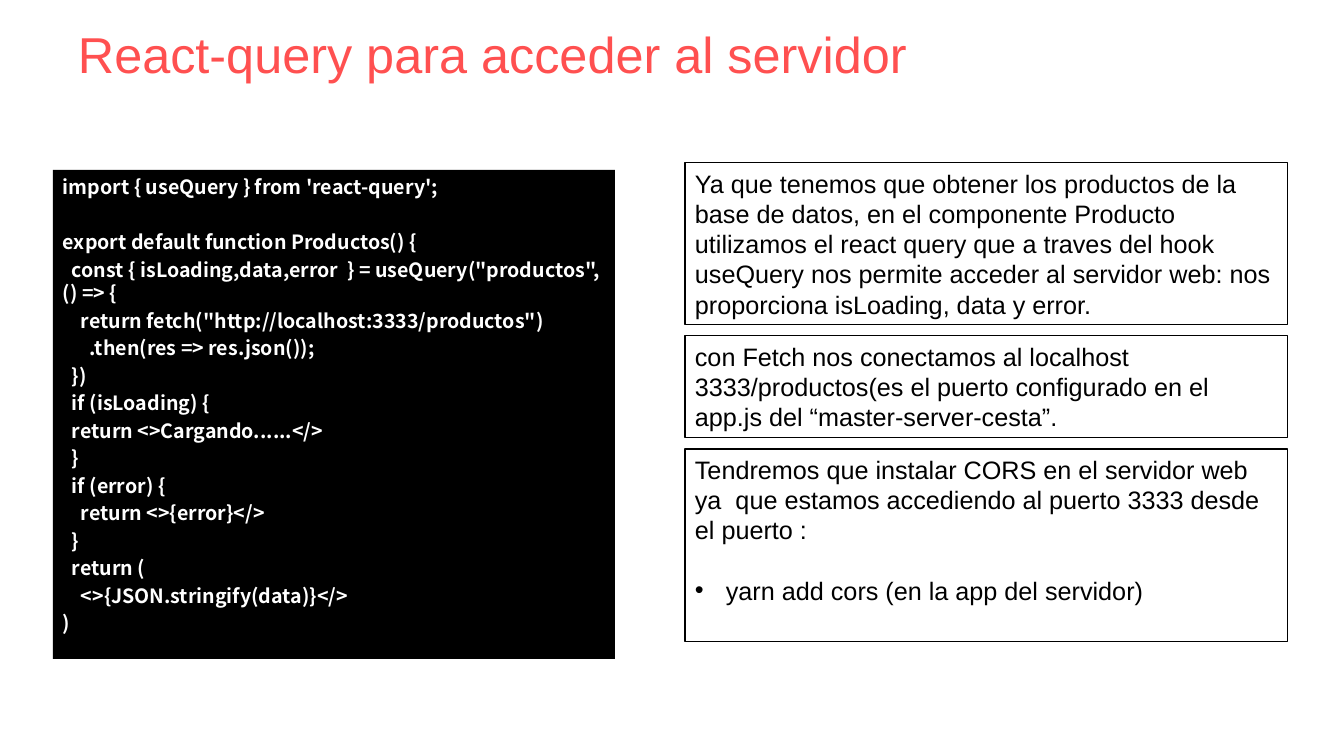
from pptx import Presentation
from pptx import util as u
from pptx.dml.color import RGBColor
from pptx.enum import shapes, text
from pptx.oxml.ns import qn
from lxml import etree

PX = 914400 / 100.8
TITLE = "React-query para acceder al servidor"
CODE = [
    (0, 0, "import { useQuery } from 'react-query';"),
    (0, 1, "export default function Productos() {"),
    (1, 0, 'const { isLoading,data,error  } = useQuery("productos", () => {'),
    (2, 0, 'return fetch("http://localhost:3333/productos")'),
    (3, 0, ".then(res => res.json());"),
    (1, 0, "})"),
    (1, 0, "if (isLoading) {"),
    (1, 0, "return <>Cargando......</>"),
    (1, 0, "}"),
    (1, 0, "if (error) {"),
    (2, 0, "return <>{error}</>"),
    (1, 0, "}"),
    (1, 0, "return ("),
    (2, 0, "<>{JSON.stringify(data)}</>"),
    (0, 0, ")"),
]
NOTES = [
    (162, ["Ya que tenemos que obtener los productos de la base de datos, en el "
           "componente Producto utilizamos el react query que a traves del hook "
           "useQuery nos permite acceder al servidor web: nos proporciona "
           "isLoading, data y error."]),
    (102, ["con Fetch nos conectamos al localhost 3333/productos(es el puerto "
           "configurado en el app.js del “master-server-cesta”."]),
    (193, ["Tendremos que instalar CORS en el servidor web ya  que estamos "
           "accediendo al puerto 3333 desde el puerto :",
           "yarn add cors (en la app del servidor)"]),
]


def px(length):
    return u.Emu(round(length * PX))


def color(value):
    return RGBColor.from_string(value)


def add_box(slide, left, top, width, height, fill=None, line=None):
    shape = slide.shapes.add_shape(shapes.MSO_SHAPE.RECTANGLE,
                                   px(left), px(top), px(width), px(height))
    shape.shadow.inherit = False
    if fill:
        shape.fill.solid()
        shape.fill.fore_color.rgb = color(fill)
    else:
        shape.fill.background()
    if line:
        shape.line.color.rgb = color(line)
        shape.line.width = u.Pt(0.75)
    else:
        shape.line.fill.background()
    shape.text_frame.word_wrap = True
    shape.text_frame.vertical_anchor = text.MSO_ANCHOR.TOP
    return shape


def write_lines(frame, lines, font, size, ink, bold=False):
    frame.text = "\n".join(lines)
    for paragraph in frame.paragraphs:
        paragraph.alignment = text.PP_ALIGN.LEFT
        for run in paragraph.runs:
            run.font.name = font
            run.font.size = u.Pt(size)
            run.font.bold = bold
            run.font.color.rgb = color(ink)
    return frame.paragraphs


def set_indent(paragraph, margin, indent):
    properties = paragraph._p.get_or_add_pPr()
    properties.set("marL", str(px(margin)))
    properties.set("indent", str(px(indent)))
    return properties


def add_title(slide, left, top, width, height):
    shape = slide.shapes.add_textbox(px(left), px(top), px(width), px(height))
    frame = shape.text_frame
    frame.word_wrap = True
    frame.vertical_anchor = text.MSO_ANCHOR.MIDDLE
    write_lines(frame, [TITLE], "Arial", 36, "FF5050")


def add_code(slide, left, top, width, height):
    shape = add_box(slide, left, top, width, height, fill="000000")
    paragraphs = write_lines(shape.text_frame, [line for _, _, line in CODE],
                             "Noto Sans CJK SC", 14, "FFFFFF", bold=True)
    for paragraph, (level, skipped, _) in zip(paragraphs, CODE):
        set_indent(paragraph, 0, 9 * level)
        paragraph.line_spacing = u.Pt(17)
        paragraph.space_before = u.Pt(2.6 + 19.6 * skipped)
        for run in paragraph.runs:
            east_asian = etree.SubElement(run.font._element, qn("a:ea"))
            east_asian.set("typeface", "Noto Sans CJK SC")


def add_notes(slide, left, top, width, gap):
    for height, lines in NOTES:
        shape = add_box(slide, left, top, width, height, line="000000")
        _, *items = write_lines(shape.text_frame, lines, "Arial", 18, "000000")
        for item in items:
            item.space_before = u.Pt(21.6)
            properties = set_indent(item, 31, -31)
            etree.SubElement(properties, qn("a:buFont")).set("typeface", "Arial")
            etree.SubElement(properties, qn("a:buChar")).set("char", "•")
        top += height + gap


def main():
    presentation = Presentation()
    presentation.slide_width = px(1344)
    presentation.slide_height = px(756)
    slide = presentation.slides.add_slide(presentation.slide_layouts[6])
    add_code(slide, 53, 170, 562, 489)
    add_title(slide, 68, 21, 1210, 65)
    add_notes(slide, 685, 163, 603, 11)
    presentation.save("out.pptx")


if __name__ == "__main__":
    main()
